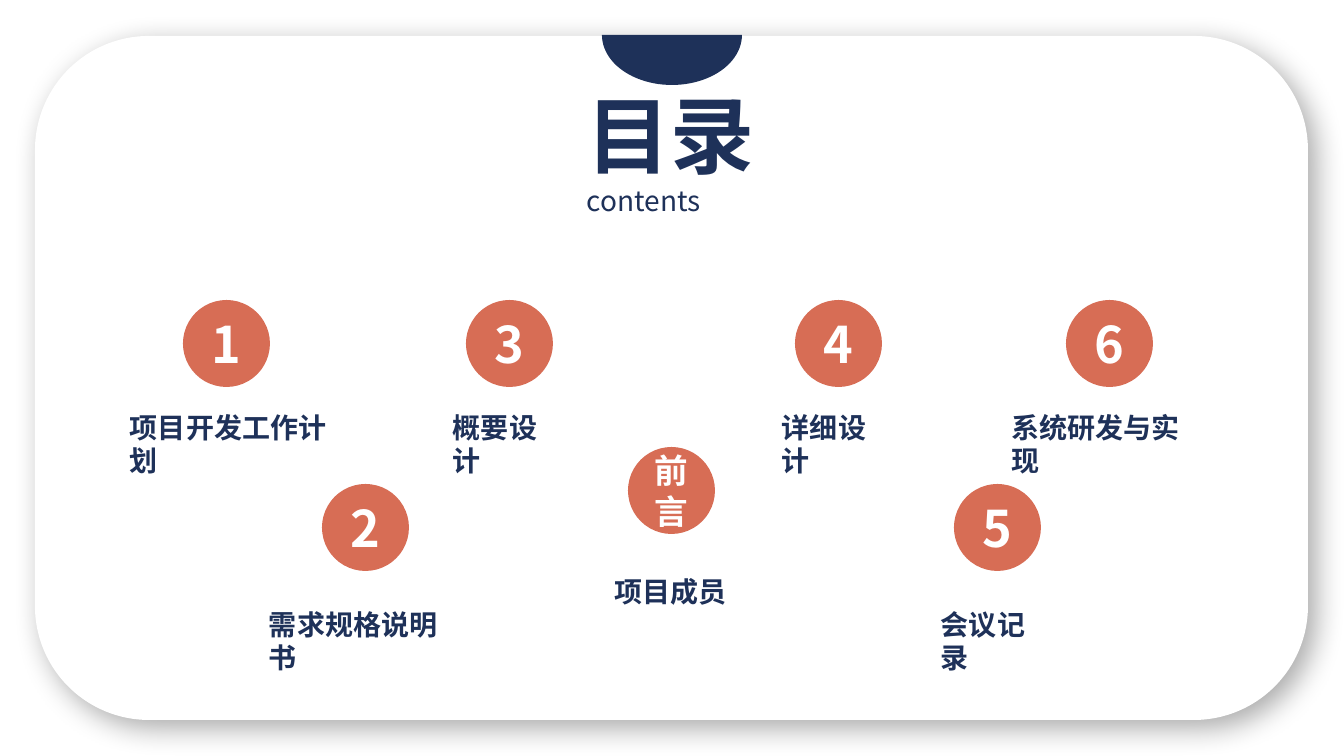
from dataclasses import dataclass

from lxml import etree
from pptx import Presentation
from pptx.dml.color import RGBColor
from pptx.enum.shapes import MSO_SHAPE
from pptx.enum.text import MSO_ANCHOR, MSO_AUTO_SIZE, PP_ALIGN
from pptx.oxml import parse_xml
from pptx.oxml.ns import qn
from pptx.util import Pt

ROUND, PIE = MSO_SHAPE.ROUNDED_RECTANGLE, MSO_SHAPE.PIE
OVAL, RECT = MSO_SHAPE.OVAL, MSO_SHAPE.RECTANGLE
TOP, MIDDLE = MSO_ANCHOR.TOP, MSO_ANCHOR.MIDDLE
LEFT, CENTER, JUSTIFY = PP_ALIGN.LEFT, PP_ALIGN.CENTER, PP_ALIGN.JUSTIFY
GROW = MSO_AUTO_SIZE.SHAPE_TO_FIT_TEXT
EMU = 914400 / 100.8  # one pixel


@dataclass(frozen=True)
class Theme:
    font: str = "Noto Sans CJK SC"
    navy: str = "1E3159"
    coral: str = "D76D55"
    white: str = "FFFFFF"
    title: int = 60
    digit: int = 36
    intro: int = 24
    label: int = 20


@dataclass(frozen=True)
class Topic:
    mark: str
    text: str
    x: int      # left of the circle
    y: int      # top of the circle
    left: int   # left of the label
    top: int    # top of the label


THEME = Theme()
DISC = 87   # circle diameter
CHAR = 28   # width of one label character
HIGH, LOW = (300, 410), (484, 607)  # circle top, label top
TOPICS = [
    Topic("1", "项目开发工作计划", 183, HIGH[0], 130, HIGH[1]),
    Topic("2", "需求规格说明书", 322, LOW[0], 269, LOW[1]),
    Topic("3", "概要设计", 466, HIGH[0], 453, HIGH[1]),
    Topic("4", "详细设计", 795, HIGH[0], 782, HIGH[1]),
    Topic("5", "会议记录", 954, LOW[0], 941, LOW[1]),
    Topic("6", "系统研发与实现", 1066, HIGH[0], 1011, HIGH[1]),
]


def px(*vals: int) -> list[int]:
    return [round(val * EMU) for val in vals]


def write(shape, text: str, *, size: int, color: str = THEME.navy,
          bold: bool = True, align=LEFT, anchor=TOP, wrap: bool = True,
          inset: bool = True, grow: bool = False) -> None:
    frame = shape.text_frame
    frame.word_wrap, frame.vertical_anchor = wrap, anchor
    if grow:
        frame.auto_size = GROW
    if not inset:
        frame.margin_left = frame.margin_right = 0
        frame.margin_top = frame.margin_bottom = 0
    para = frame.paragraphs[0]
    para.alignment, para.line_spacing = align, 1.0
    run = para.add_run()
    run.text = text
    font = run.font
    font.size, font.bold, font.name = Pt(size), bold, THEME.font
    font.color.rgb = RGBColor.from_string(color)
    # Chinese text takes the East Asian face
    etree.SubElement(run._r.get_or_add_rPr(), qn("a:ea"), typeface=THEME.font)


def draw(slide, kind, box: tuple[int, int, int, int], fill: str):
    shape = slide.shapes.add_shape(kind, *px(*box))
    shape.shadow.inherit = False
    shape.fill.solid()
    shape.fill.fore_color.rgb = RGBColor.from_string(fill)
    shape.line.fill.background()
    return shape


def disc(slide, mark: str, x: int, y: int, size: int) -> None:
    shape = draw(slide, OVAL, (x, y, DISC, DISC), THEME.coral)
    write(shape, mark, size=size, color=THEME.white, align=CENTER, anchor=MIDDLE)


def shade(shape) -> None:
    effects = shape._element.spPr.find(qn("a:effectLst"))
    effects.append(parse_xml(
        '<a:outerShdw xmlns:a="http://schemas.openxmlformats.org/drawingml/2006/main"'
        f' blurRad="{Pt(21)}" dist="{Pt(8)}" dir="2700000" algn="tl" rotWithShape="0">'
        '<a:srgbClr val="000000"><a:alpha val="32000"/></a:srgbClr></a:outerShdw>'))


def topic(slide, item: Topic) -> None:
    disc(slide, item.mark, item.x, item.y, THEME.digit)
    box = px(item.left, item.top, CHAR * len(item.text), 34)
    write(slide.shapes.add_textbox(*box), item.text, size=THEME.label,
          wrap=False, inset=False, grow=True)


def main() -> None:
    deck = Presentation()
    deck.slide_width, deck.slide_height = px(1344, 756)
    slide = deck.slides.add_slide(deck.slide_layouts[5])
    title = slide.shapes.title

    # Card, placed behind the title
    card = draw(slide, ROUND, (35, 36, 1273, 684), THEME.white)
    shade(card)
    title._element.addprevious(card._element)

    # Heading
    title.left, title.top, title.width, title.height = px(576, 78, 190, 112)
    write(title, "目录", size=THEME.title, wrap=False, grow=True)
    sub = slide.shapes.add_textbox(*px(577, 179, 190, 44))
    write(sub, "contents", size=THEME.label, bold=False, align=JUSTIFY, grow=True)
    tab = draw(slide, PIE, (602, -15, 140, 100), THEME.navy)
    tab.adjustments[0], tab.adjustments[1] = 0, 108  # lower half

    # Numbered topics
    for item in TOPICS:
        topic(slide, item)

    # Preface
    disc(slide, "前言", 628, 447, THEME.intro)
    team = draw(slide, RECT, (605, 569, 190, 44), THEME.white)
    team.line.color.rgb = RGBColor.from_string(THEME.white)
    team.line.width = Pt(1)
    write(team, "项目成员", size=THEME.label, anchor=MIDDLE)

    deck.save("out.pptx")


main()
